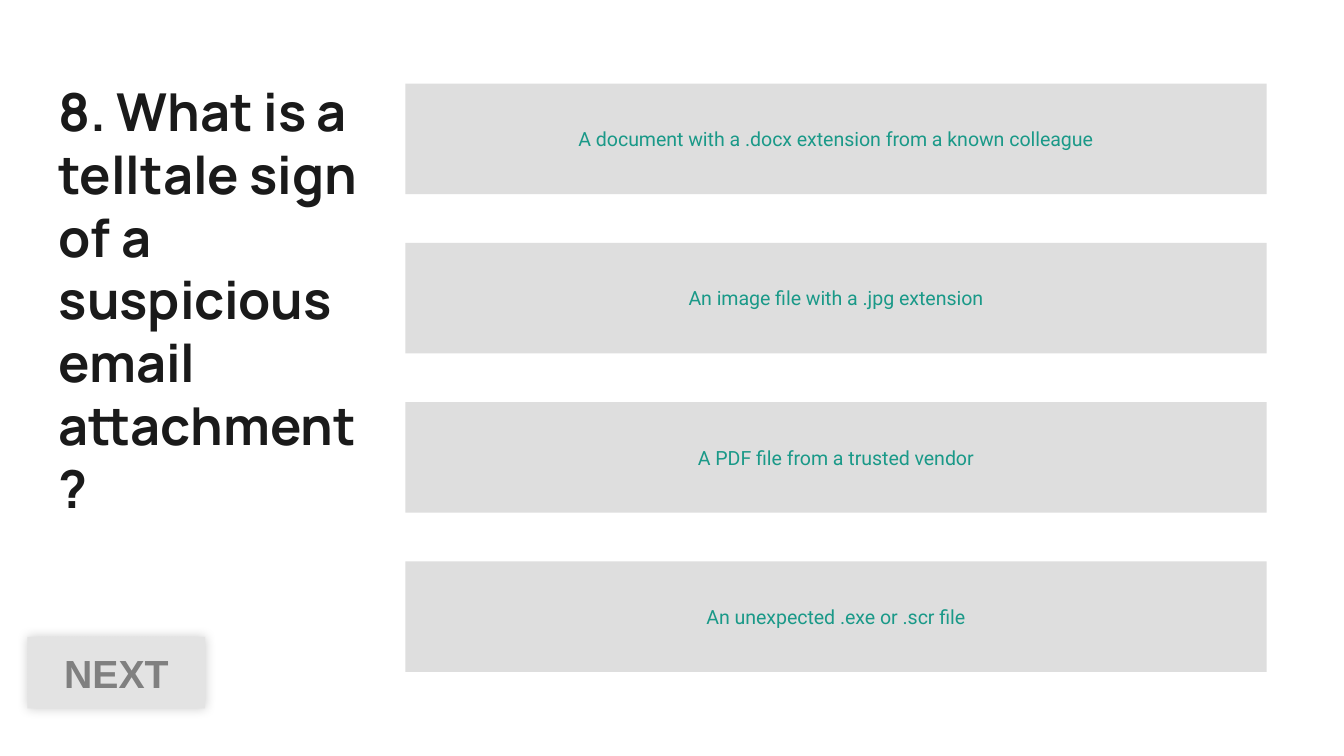
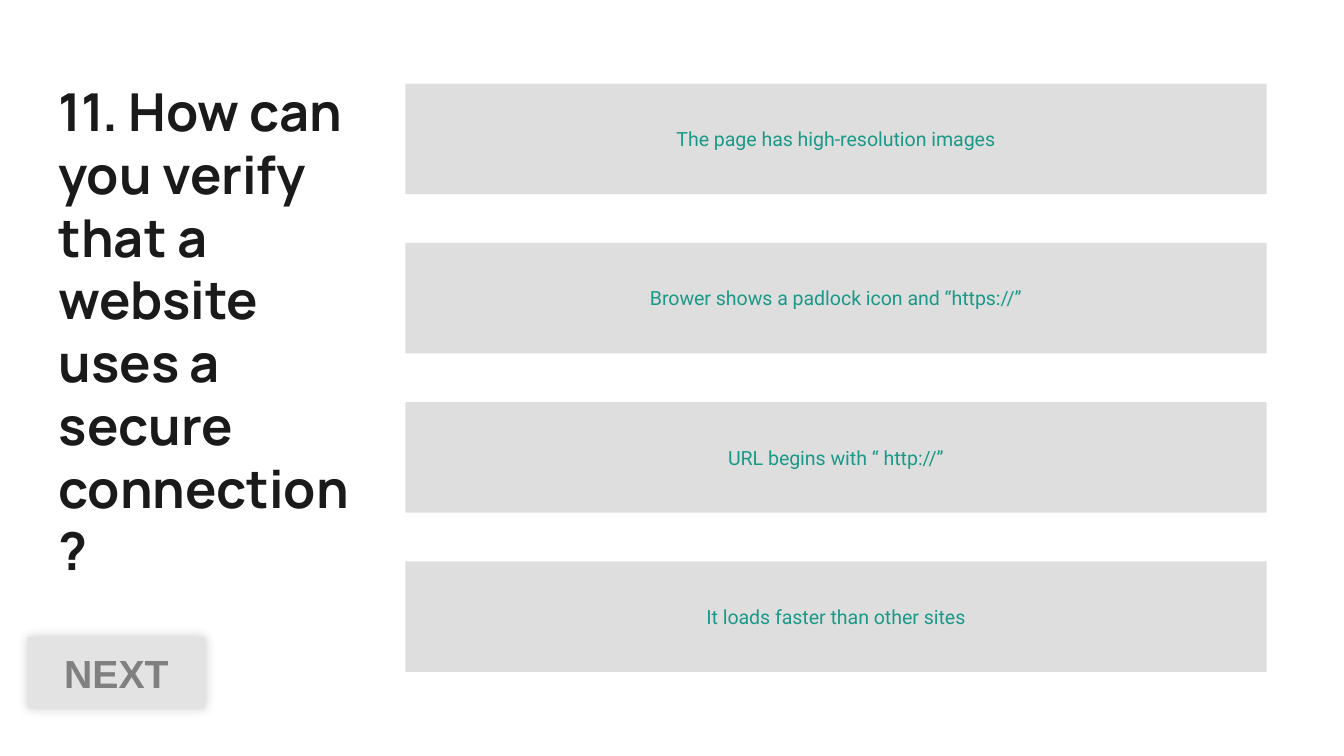
"""Build two quiz slides, each with a question, four answers and a NEXT button."""
import pptx
import pptx.dml.color
import pptx.enum.shapes
import pptx.enum.text
import pptx.oxml
import pptx.oxml.ns
import pptx.util
from pptx.util import Cm

QUESTIONS = [
    {
        "title": "8. What is a telltale sign of a suspicious email attachment?",
        "title_height": 9.8,
        "answers": [
            "A document with a .docx extension from a known colleague",
            "An image file with a .jpg extension",
            "A PDF file from a trusted vendor",
            "An unexpected .exe or .scr file",
        ],
    },
    {
        "title": "11. How can you verify that a website uses a secure connection?",
        "title_height": 10.54,
        "answers": [
            "The page has high-resolution images",
            "Brower shows a padlock icon and “https://”",
            "URL begins with “ http://”",
            "It loads faster than other sites",
        ],
    },
]

COLORS = {
    "background": "FFFFFF",
    "title": "1A1A1A",
    "answer": "DEDEDE",
    "answer_text": "1A9988",
    "button": "E3E3E3",
    "button_text": "808080",
    "shadow": "000000",
}

TITLE_LEFT, TITLE_TOP, TITLE_WIDTH = 0.86, 1.25, 6.47
ANSWER_LEFT, ANSWER_TOP, ANSWER_WIDTH, ANSWER_HEIGHT = 7.66, 1.58, 16.28, 2.09
ANSWER_PITCH = 3.01
BUTTON_BOX = (0.52, 12.04, 3.36, 1.35)


def rgb(name):
    return pptx.dml.color.RGBColor.from_string(COLORS[name])


def write_text(shape, text, *, font, size, color, bold=False, align="CENTER", anchor="MIDDLE"):
    frame = shape.text_frame
    frame.word_wrap = True
    frame.auto_size = pptx.enum.text.MSO_AUTO_SIZE.NONE
    frame.vertical_anchor = pptx.enum.text.MSO_ANCHOR[anchor]
    paragraph = frame.paragraphs[0]
    paragraph.alignment = pptx.enum.text.PP_ALIGN[align]
    run = paragraph.add_run()
    run.text = text
    run.font.name = font
    run.font.size = pptx.util.Pt(size)
    run.font.bold = bold
    run.font.color.rgb = rgb(color)


def add_box(slide, box, fill):
    rectangle = pptx.enum.shapes.MSO_SHAPE.RECTANGLE
    shape = slide.shapes.add_shape(rectangle, *map(Cm, box))
    shape.shadow.inherit = False
    shape.fill.solid()
    shape.fill.fore_color.rgb = rgb(fill)
    shape.line.fill.background()
    return shape


def add_soft_shadow(shape):
    effects = shape.element.spPr.find(pptx.oxml.ns.qn("a:effectLst"))
    effects.append(pptx.oxml.parse_xml(
        f'<a:outerShdw {pptx.oxml.ns.nsdecls("a")} blurRad="{pptx.util.Pt(6)}" '
        f'dist="0" dir="{315 * 60000}" algn="ctr" rotWithShape="0">'
        f'<a:srgbClr val="{COLORS["shadow"]}"><a:alpha val="20000"/></a:srgbClr>'
        '</a:outerShdw>'
    ))


def set_title(slide, text, height):
    title = slide.shapes.title
    title.left, title.top = Cm(TITLE_LEFT), Cm(TITLE_TOP)
    title.width, title.height = Cm(TITLE_WIDTH), Cm(height)
    frame = title.text_frame
    frame.margin_left = frame.margin_right = Cm(0.25)
    frame.margin_top = frame.margin_bottom = Cm(0.25)
    write_text(title, text, font="Manrope", size=28, color="title",
               bold=True, align="LEFT", anchor="TOP")


def add_question(presentation, question):
    slide = presentation.slides.add_slide(presentation.slide_layouts[5])
    slide.background.fill.solid()
    slide.background.fill.fore_color.rgb = rgb("background")
    set_title(slide, question["title"], question["title_height"])
    for row, answer in enumerate(question["answers"]):
        top = ANSWER_TOP + row * ANSWER_PITCH
        shape = add_box(slide, (ANSWER_LEFT, top, ANSWER_WIDTH, ANSWER_HEIGHT), "answer")
        write_text(shape, answer, font="Roboto", size=10.5, color="answer_text")
    button = add_box(slide, BUTTON_BOX, "button")
    add_soft_shadow(button)
    write_text(button, "NEXT", font="Arial", size=21, color="button_text", bold=True)


def main():
    presentation = pptx.Presentation()
    presentation.slide_width, presentation.slide_height = Cm(25.4), Cm(14.29)
    for question in QUESTIONS:
        add_question(presentation, question)
    presentation.save("out.pptx")


if __name__ == "__main__":
    main()
